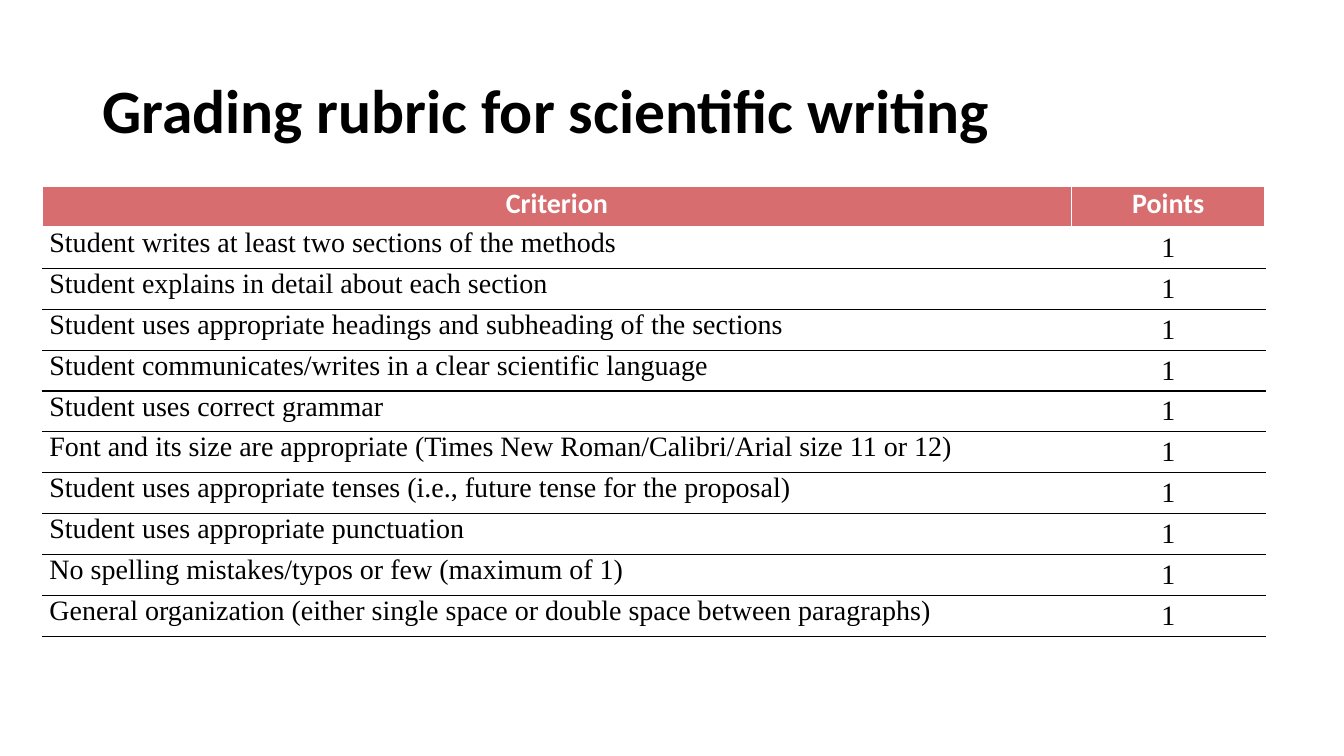
from lxml import etree
from pptx import Presentation
from pptx import util as u
from pptx.dml.color import RGBColor
from pptx.enum import text
from pptx.oxml.ns import qn

Pt = u.Pt
HUES = {"ink": "000000", "paper": "FFFFFF", "rose": "D76D6F"}
SANS, SERIF = "Calibri", "Times New Roman"
MID, TOP = text.MSO_ANCHOR.MIDDLE, text.MSO_ANCHOR.TOP
LEFT, CENTER = text.PP_ALIGN.LEFT, text.PP_ALIGN.CENTER

CRITERIA = [
    "Student writes at least two sections of the methods",
    "Student explains in detail about each section",
    "Student uses appropriate headings and subheading of the sections",
    "Student communicates/writes in a clear scientific language",
    "Student uses correct grammar",
    "Font and its size are appropriate (Times New Roman/Calibri/Arial size 11 or 12)",
    "Student uses appropriate tenses (i.e., future tense for the proposal)",
    "Student uses appropriate punctuation",
    "No spelling mistakes/typos or few (maximum of 1)",
    "General organization (either single space or double space between paragraphs)",
]


class Deck:
    """Holds the style and the current slide."""

    def __init__(self, wide, high):
        """Start a deck with one title-only slide."""
        self.show = Presentation()
        self.show.slide_width, self.show.slide_height = Pt(wide), Pt(high)
        self.slide = self.show.slides.add_slide(self.show.slide_layouts[5])

    def add_words(self, para, words, size, face, hue, bold=False):
        """Add one styled run to a paragraph."""
        run = para.add_run()
        run.text = words
        font = run.font
        font.size, font.name, font.bold = Pt(size), face, bold
        font.color.rgb = RGBColor.from_string(HUES[hue])

    def title(self, box, words):
        """Place and fill the title."""
        head = self.slide.shapes.title
        head.left, head.top, head.width, head.height = map(Pt, box)
        frame = head.text_frame
        frame.word_wrap, frame.vertical_anchor = True, MID
        para = frame.paragraphs[0]
        para.alignment, para.line_spacing = LEFT, 0.9
        self.add_words(para, words, 44, SANS, "ink", True)

    def edge(self, cell, lines):
        """Draw cell borders, given as side: (hue, width)."""
        props = cell._tc.get_or_add_tcPr()
        for spot, side in enumerate("LRTB"):
            hue, width = lines[side]
            line = etree.Element(qn(f"a:ln{side}"), w=str(Pt(width)))
            fill = etree.SubElement(line, qn("a:solidFill"))
            etree.SubElement(fill, qn("a:srgbClr"), val=HUES[hue])
            props.insert(spot, line)

    def cell(self, cell, words, head, point):
        """Fill one cell of the rubric."""
        cell.margin_left = cell.margin_right = Pt(5)
        cell.margin_top = cell.margin_bottom = 0
        cell.vertical_anchor = MID if point and not head else TOP
        para = cell.text_frame.paragraphs[0]
        para.alignment = CENTER if head or point else LEFT
        if head:
            cell.fill.solid()
            cell.fill.fore_color.rgb = RGBColor.from_string(HUES["rose"])
            self.add_words(para, words, 20, SANS, "paper", True)
        else:
            cell.fill.background()
            self.add_words(para, words, 20, SERIF, "ink")

    def table(self, box, widths, rows):
        """Add the rubric table, with its first row as the header."""
        frame = self.slide.shapes.add_table(len(rows), len(widths), *map(Pt, box))
        grid = frame.table
        grid.horz_banding = False
        for col, width in zip(grid.columns, widths):
            col.width = Pt(width)
        for r, row in enumerate(rows):
            grid.rows[r].height = Pt(box[3] / len(rows))
            white = ("paper", 1)
            above = [white, ("paper", 3)][r] if r < 2 else ("ink", 1)
            below = ("ink", 1) if r else ("paper", 3)
            for c, words in enumerate(row):
                cell = grid.cell(r, c)
                self.cell(cell, words, r == 0, c == 1)
                self.edge(cell, {"L": white, "R": white, "T": above, "B": below})


deck = Deck(960, 540)
deck.title((66, 28.75, 828, 104.4), "Grading rubric for scientific writing")
rubric = [("Criterion", "Points")] + [(item, "1") for item in CRITERIA]
deck.table((30.3, 133.3, 873.3, 321.2), (735.1, 138.2), rubric)
deck.show.save("out.pptx")
